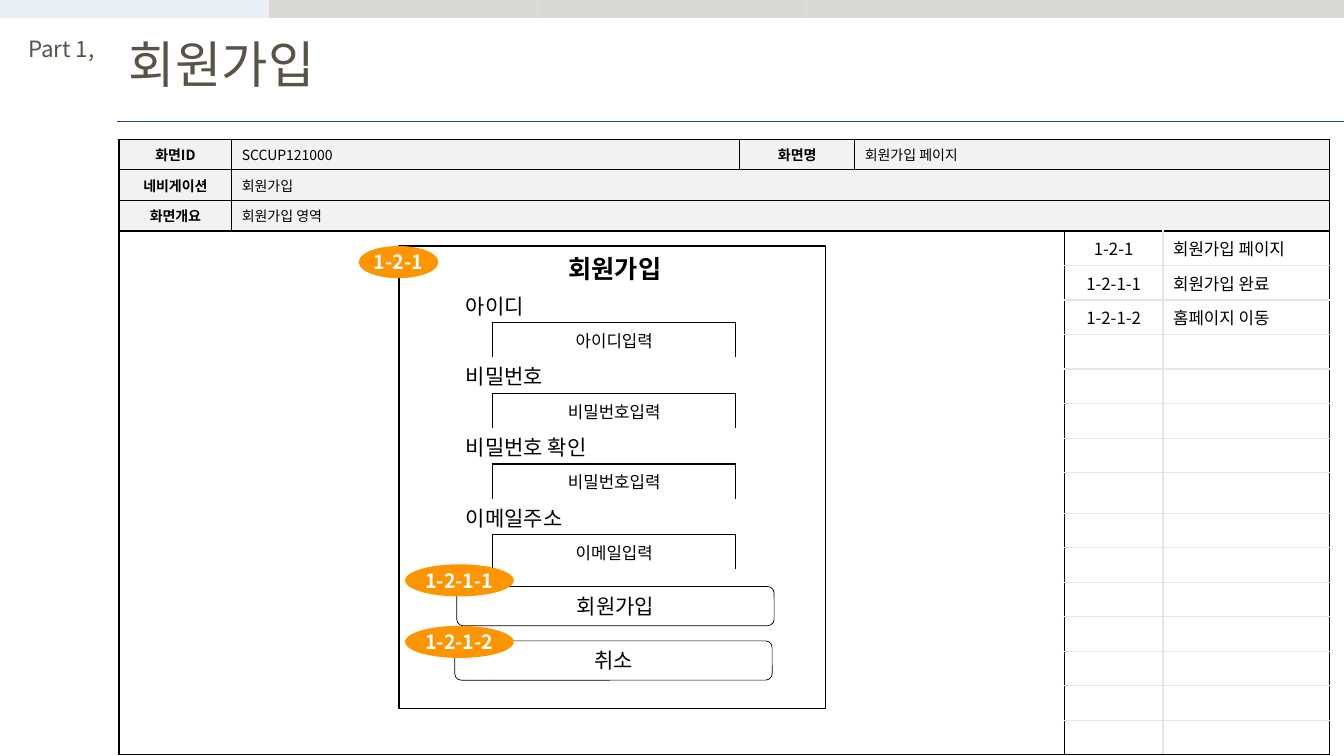
from dataclasses import dataclass

from lxml.etree import SubElement
from pptx import Presentation
from pptx.dml.color import RGBColor
from pptx.enum.shapes import MSO_CONNECTOR, MSO_SHAPE
from pptx.enum.text import MSO_ANCHOR, PP_ALIGN
from pptx.oxml import parse_xml
from pptx.oxml.ns import nsdecls, qn
from pptx.util import Cm, Pt


@dataclass(frozen=True)
class Theme:
    """Font, colours (RRGGBB) and type sizes (points) of the slide."""
    font: str = "Noto Sans CJK KR"
    black: str = "000000"
    white: str = "FFFFFF"
    heading: str = "595347"
    header_fill: str = "F2F2F2"
    grid: str = "E7E6E6"
    rule: str = "2C497C"
    badge: str = "FD9401"
    active_tab: str = "E8EFF7"
    tab: str = "D9D8D5"
    title_size: int = 36
    form_title_size: int = 18
    part_size: int = 16
    label_size: int = 15
    badge_size: int = 14
    body_size: int = 12
    header_size: int = 10


@dataclass(frozen=True)
class Box:
    """A rectangle in centimetres."""
    left: float
    top: float
    width: float
    height: float

    def lengths(self):
        """Return left, top, width and height as lengths."""
        return Cm(self.left), Cm(self.top), Cm(self.width), Cm(self.height)


@dataclass(frozen=True)
class Label:
    """A centred caption inside a button or badge."""
    text: str
    box: Box


THEME = Theme()
WIDTH, HEIGHT = 33.87, 19.05
TAB_COUNT = 5
HEADER_ROWS, NOTE_ROWS, TALL_NOTE = 3, 15, 7
NOTES = [("1-2-1", "회원가입 페이지"), ("1-2-1-1", "회원가입 완료"),
         ("1-2-1-2", "홈페이지 이동")]
HEADERS = [
    ["화면ID", "SCCUP121000", "화면명", "회원가입 페이지"],
    ["네비게이션", "회원가입"],
    ["화면개요", "회원가입 영역"],
]
FIELDS = [("아이디", "아이디입력"), ("비밀번호", "비밀번호입력"),
          ("비밀번호 확인", "비밀번호입력"), ("이메일주소", "이메일입력")]
BUTTONS = [Label("회원가입", Box(11.51, 14.78, 8, 0.99)),
           Label("취소", Box(11.46, 16.15, 8, 0.99))]
BADGES = [Label("1-2-1", Box(9.04, 6.2, 2.01, 0.81)),
          Label("1-2-1-1", Box(10.21, 14.22, 2.74, 0.81)),
          Label("1-2-1-2", Box(10.21, 15.77, 2.74, 0.81))]


def write(frame, text: str, size: int, color: str = THEME.black,
          bold: bool = False, align=PP_ALIGN.LEFT):
    """Put one styled paragraph into a text frame and return it."""
    frame.text = text
    paragraph = frame.paragraphs[0]
    paragraph.alignment = align
    font = paragraph.font
    font.size, font.bold, font.name = Pt(size), bold, THEME.font
    font.color.rgb = RGBColor.from_string(color)
    properties = paragraph._p.get_or_add_pPr().get_or_add_defRPr()
    SubElement(properties, qn("a:ea"), typeface=THEME.font)
    if not text:
        SubElement(paragraph._p, qn("a:endParaRPr"), sz=str(size * 100))
    return paragraph


def add_heading(slide, text: str, box: Box, size: int) -> None:
    """Add a one-line heading."""
    frame = slide.shapes.add_textbox(*box.lengths()).text_frame
    frame.word_wrap = False
    write(frame, text, size, THEME.heading).line_spacing = 0.9


def add_block(slide, kind, box: Box, fill: str, line_width: float = 0):
    """Add a flat filled shape, outlined in black if a width is given."""
    shape = slide.shapes.add_shape(kind, *box.lengths())
    shape.shadow.inherit = False
    shape.fill.solid()
    shape.fill.fore_color.rgb = RGBColor.from_string(fill)
    if line_width:
        shape.line.width = Pt(line_width)
        shape.line.color.rgb = RGBColor.from_string(THEME.black)
    else:
        shape.line.fill.background()
    return shape


def caption(shape, text: str, size: int, color: str, bold: bool) -> None:
    """Centre a caption in a shape without insets."""
    frame = shape.text_frame
    frame.margin_left = frame.margin_right = frame.margin_top = frame.margin_bottom = 0
    frame.vertical_anchor = MSO_ANCHOR.MIDDLE
    write(frame, text, size, color, bold, PP_ALIGN.CENTER)


def add_button(slide, label: Label) -> None:
    """Add a rounded form button."""
    shape = add_block(slide, MSO_SHAPE.ROUNDED_RECTANGLE, label.box, THEME.white, 0.5)
    caption(shape, label.text, THEME.label_size, THEME.black, False)


def add_badge(slide, label: Label) -> None:
    """Add an oval reference badge."""
    shape = add_block(slide, MSO_SHAPE.OVAL, label.box, THEME.badge)
    caption(shape, label.text, THEME.badge_size, THEME.white, True)


def add_grid(slide, left: float, top: float, columns: list[float], rows: list[float]):
    """Add a plain table with the given column widths and row heights."""
    box = Box(left, top, sum(columns), sum(rows))
    table = slide.shapes.add_table(len(rows), len(columns), *box.lengths()).table
    table.first_row = table.horz_banding = False
    for column, width in zip(table.columns, columns):
        column.width = Cm(width)
    for row, height in zip(table.rows, rows):
        row.height = Cm(height)
    for cell in table.iter_cells():
        cell.vertical_anchor = MSO_ANCHOR.MIDDLE
        cell.fill.background()
    return table


def set_borders(cell, **colors: str) -> None:
    """Draw 1 pt cell borders; keys L, R, T and B in that order."""
    for index, (side, color) in enumerate(colors.items()):
        cell._tc.get_or_add_tcPr().insert(index, parse_xml(
            f'<a:ln{side} {nsdecls("a")} w="12700"><a:solidFill>'
            f'<a:srgbClr val="{color}"/></a:solidFill></a:ln{side}>'))


def add_specification(slide) -> None:
    """Add the screen table: header rows, drawing area and notes."""
    rows = [0.77] * HEADER_ROWS + [0.87] * NOTE_ROWS
    rows[HEADER_ROWS + TALL_NOTE] = 1.02
    table = add_grid(slide, 3, 3.51, [2.84, 12.8, 2.9, 5.28, 2.49, 4.19], rows)
    last_row, black, grid = len(rows) - 1, THEME.black, THEME.grid
    for row in range(len(rows)):
        header, note = row < HEADER_ROWS, row - HEADER_ROWS
        texts = HEADERS[row] if header else [""] * 4 + list(
            NOTES[note] if note < len(NOTES) else ("", ""))
        for column in range(6):
            cell = table.cell(row, column)
            cell.fill.solid()
            cell.fill.fore_color.rgb = RGBColor.from_string(
                THEME.header_fill if header else THEME.white)
            key = header and column % 2 == 0
            centred = key or (not header and column == 4)
            write(cell.text_frame, texts[column] if column < len(texts) else "",
                  THEME.header_size if header else THEME.body_size, bold=key,
                  align=PP_ALIGN.CENTER if centred else PP_ALIGN.LEFT)
            solid = header or column < 4
            set_borders(cell, L=black if solid or column == 4 else grid,
                        R=black if solid or column == 5 else grid,
                        T=black if solid or note == 0 else grid,
                        B=black if solid or row == last_row else grid)
    for row, texts in enumerate(HEADERS):
        table.cell(row, len(texts) - 1).merge(table.cell(row, 5))
    table.cell(HEADER_ROWS, 0).merge(table.cell(last_row, 3))


def add_form(slide) -> None:
    """Add the sign-up form: title, then a label and an input per field."""
    rows = [0.99] + [0.89] * (2 * len(FIELDS) + 1)
    table = add_grid(slide, 11.51, 6.25, [0.91, 6.12, 0.94], rows)
    for cell in table.iter_cells():
        cell.margin_left = cell.margin_right = Cm(0.23)
        cell.margin_top = cell.margin_bottom = Cm(0.02)
        write(cell.text_frame, "", THEME.body_size)
    write(table.cell(0, 0).text_frame, "회원가입", THEME.form_title_size,
          bold=True, align=PP_ALIGN.CENTER)
    black = THEME.black
    for index, (label, prompt) in enumerate(FIELDS):
        row = 2 * index + 1
        write(table.cell(row, 0).text_frame, label, THEME.label_size)
        before, field, after = (table.cell(row + 1, column) for column in range(3))
        write(field.text_frame, prompt, THEME.body_size, align=PP_ALIGN.CENTER)
        set_borders(before, R=black)
        set_borders(field, L=black, R=black, T=black, B=black)
        set_borders(after, L=black)
    for row in [*range(0, len(rows), 2)[:1], *range(1, len(rows), 2)]:
        table.cell(row, 0).merge(table.cell(row, 2))


def add_rule(slide) -> None:
    """Add the thin line under the title."""
    rule = slide.shapes.add_connector(
        MSO_CONNECTOR.STRAIGHT, Cm(2.95), Cm(3.05), Cm(WIDTH), Cm(3.05))
    rule.line.width = Pt(0.5)
    rule.line.color.rgb = RGBColor.from_string(THEME.rule)
    SubElement(rule._element.spPr, qn("a:effectLst"))


presentation = Presentation()
presentation.slide_width, presentation.slide_height = Cm(WIDTH), Cm(HEIGHT)
slide = presentation.slides.add_slide(presentation.slide_layouts[6])
add_specification(slide)
add_block(slide, MSO_SHAPE.RECTANGLE, Box(10.06, 6.2, 10.74, 11.66), THEME.white, 1)
for index in range(TAB_COUNT):
    tab_width = WIDTH / TAB_COUNT
    add_block(slide, MSO_SHAPE.RECTANGLE, Box(index * tab_width, 0, tab_width, 0.45),
              THEME.tab if index else THEME.active_tab)
add_heading(slide, "Part 1,", Box(0.46, 0.84, 2.26, 0.94), THEME.part_size)
add_heading(slide, "회원가입", Box(3, 0.89, 5.54, 1.8), THEME.title_size)
add_rule(slide)
add_form(slide)
for button in BUTTONS:
    add_button(slide, button)
for badge in BADGES:
    add_badge(slide, badge)
presentation.save("out.pptx")
